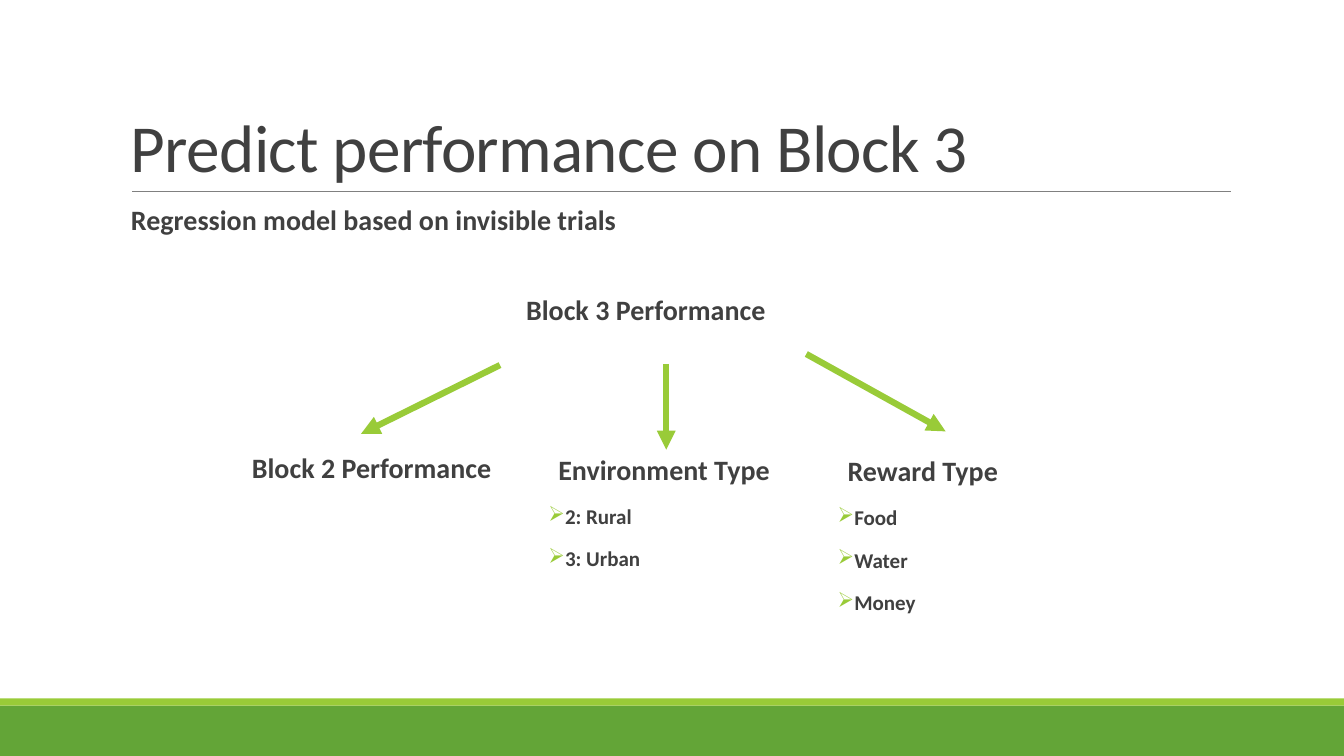
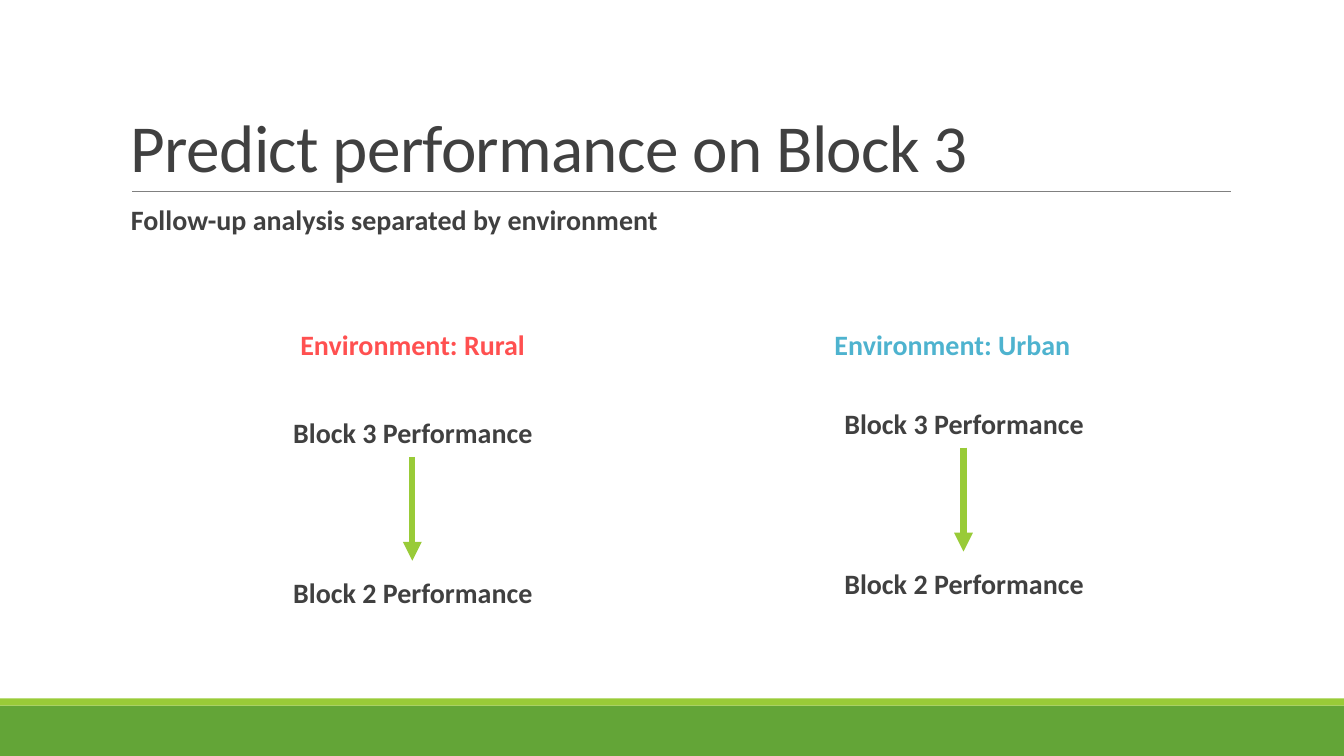
from lxml import etree
from pptx import Presentation
from pptx import util as u
from pptx.dml.color import RGBColor
from pptx.enum import shapes, text
from pptx.oxml import ns

FONT = "Calibri"
DARK, LIME, GREEN, GRAY = "404040", "99CB38", "63A537", "808080"
CORAL, BLUE = "FF5050", "4EB3CF"
SLIDE_W, SLIDE_H = 33.87, 19.05
LABEL_W, LABEL_H = 6.5, 0.99
INDENT = 0.25
TITLE = "Predict performance on Block 3"


def color(value):
    return RGBColor.from_string(value)


def apply(target, values):
    for name, value in values.items():
        setattr(target, name, value)


def add_xml(parent, tag, **attributes):
    return etree.SubElement(parent, ns.qn(tag), attributes)


def add_bar(slide, top, height, fill):
    bar = slide.shapes.add_shape(shapes.MSO_SHAPE.RECTANGLE, 0, u.Cm(top),
                                 u.Cm(SLIDE_W), u.Cm(height))
    bar.shadow.inherit = False
    bar.fill.solid()
    bar.fill.fore_color.rgb = color(fill)
    bar.line.fill.background()


def add_line(slide, start, end, stroke, width, arrow=False):
    line = slide.shapes.add_connector(shapes.MSO_CONNECTOR.STRAIGHT,
                                      *map(u.Cm, (*start, *end)))
    apply(line.line, {"width": u.Pt(width)})
    line.line.color.rgb = color(stroke)
    if arrow:
        add_xml(line.line._get_or_add_ln(), "a:tailEnd", type="triangle")
    add_xml(line._element.spPr, "a:effectLst")
    return line


def write(paragraph, words, size, ink=DARK, bold=True):
    run = paragraph.add_run()
    run.text = words
    apply(run.font, {"name": FONT, "size": u.Pt(size), "bold": bold})
    run.font.color.rgb = color(ink)
    return run


def add_frame(slide, left, top, width, height):
    box = slide.shapes.add_textbox(*map(u.Cm, (left, top, width, height)))
    box.text_frame.word_wrap = True
    return box


def add_label(slide, left, top, heading, items=(), width=LABEL_W,
              height=LABEL_H, ink=DARK, indent=INDENT):
    """Bold heading with optional arrow-bulleted items below it."""
    box = add_frame(slide, left, top, width, height)
    frame = box.text_frame
    apply(frame, {"margin_left": 0, "margin_right": 0})
    for index, words in enumerate((heading, *items)):
        paragraph = frame.add_paragraph() if index else frame.paragraphs[0]
        apply(paragraph, {"line_spacing": 0.9 if items else 0.8,
                          "space_before": u.Pt(12), "space_after": u.Pt(2)})
        properties = paragraph._p.get_or_add_pPr()
        properties.set("marL", str(u.Cm(indent)))
        if index:
            properties.set("indent", str(-u.Cm(indent)))
            bullet_color = add_xml(properties, "a:buClr")
            add_xml(bullet_color, "a:srgbClr", val=LIME)
            add_xml(properties, "a:buChar", char="➢")
        write(paragraph, words, 15 if index else 20, ink)
    return box


def add_base(deck, subtitle):
    """Slide with the shared bands, rule, title and subtitle."""
    slide = deck.slides.add_slide(deck.slide_layouts[6])
    add_bar(slide, 17.78, 1.27, GREEN)
    add_bar(slide, 17.6, 0.18, LIME)
    add_line(slide, (3.33, 4.83), (31.01, 4.83), GRAY, 0.5)

    frame = add_frame(slide, 3.05, 0.79, 27.94, 4.04).text_frame
    frame.vertical_anchor = text.MSO_ANCHOR.BOTTOM
    paragraph = frame.paragraphs[0]
    paragraph.line_spacing = 0.85
    title = write(paragraph, TITLE, 48, bold=False)
    title.font._element.set("spc", "-50")

    add_label(slide, 3.05, 5.13, subtitle, width=27.94)
    return slide


def add_predictor_tree(slide, left, top):
    """Outcome on top, with an arrow down to each predictor."""
    add_label(slide, left + 6.91, top, "Block 3 Performance")
    arrows = [((6.5, 1.78), (3, 3.51)),
              ((10.69, 1.75), (10.69, 3.91)),
              ((14.22, 1.5), (17.73, 3.45))]
    for start, end in arrows:
        add_line(slide, (left + start[0], top + start[1]),
                 (left + end[0], top + end[1]), LIME, 4.5, arrow=True)
    predictors = [(0, 3.96, LABEL_H, "Block 2 Performance", ()),
                  (7.72, 3.96, 3.76, "Environment Type",
                   ("2: Rural", "3: Urban")),
                  (15.01, 3.99, 4.32, "Reward Type",
                   ("Food", "Water", "Money"))]
    for x, y, height, heading, items in predictors:
        add_label(slide, left + x, top + y, heading, items, height=height)


def add_environment_flow(slide, left, top, name, ink, shift, drop):
    """Coloured environment name above a two-step flow."""
    add_label(slide, left + shift, top, f"Environment: {name}", ink=ink,
              indent=0)
    outcome_top = top + drop
    outcome = add_label(slide, left, outcome_top, "Block 3 Performance")
    middle = left + LABEL_W / 2
    arrow = add_line(slide, (middle, outcome_top + LABEL_H),
                     (middle, outcome_top + 3.61), LIME, 4.5, arrow=True)
    arrow.begin_connect(outcome, 2)
    add_label(slide, left, outcome_top + 4.03, "Block 2 Performance")


def main():
    deck = Presentation()
    apply(deck, {"slide_width": u.Cm(SLIDE_W), "slide_height": u.Cm(SLIDE_H)})

    # Regression model
    model = add_base(deck, "Regression model based on invisible trials")
    add_predictor_tree(model, 6.1, 7.42)

    # Follow-up by environment
    follow_up = add_base(deck, "Follow-up analysis separated by environment")
    add_environment_flow(follow_up, 7.14, 8.28, "Rural", CORAL, 0.43, 2.24)
    add_environment_flow(follow_up, 21.03, 8.28, "Urban", BLUE, 0, 2.01)

    deck.save("out.pptx")


if __name__ == "__main__":
    main()
